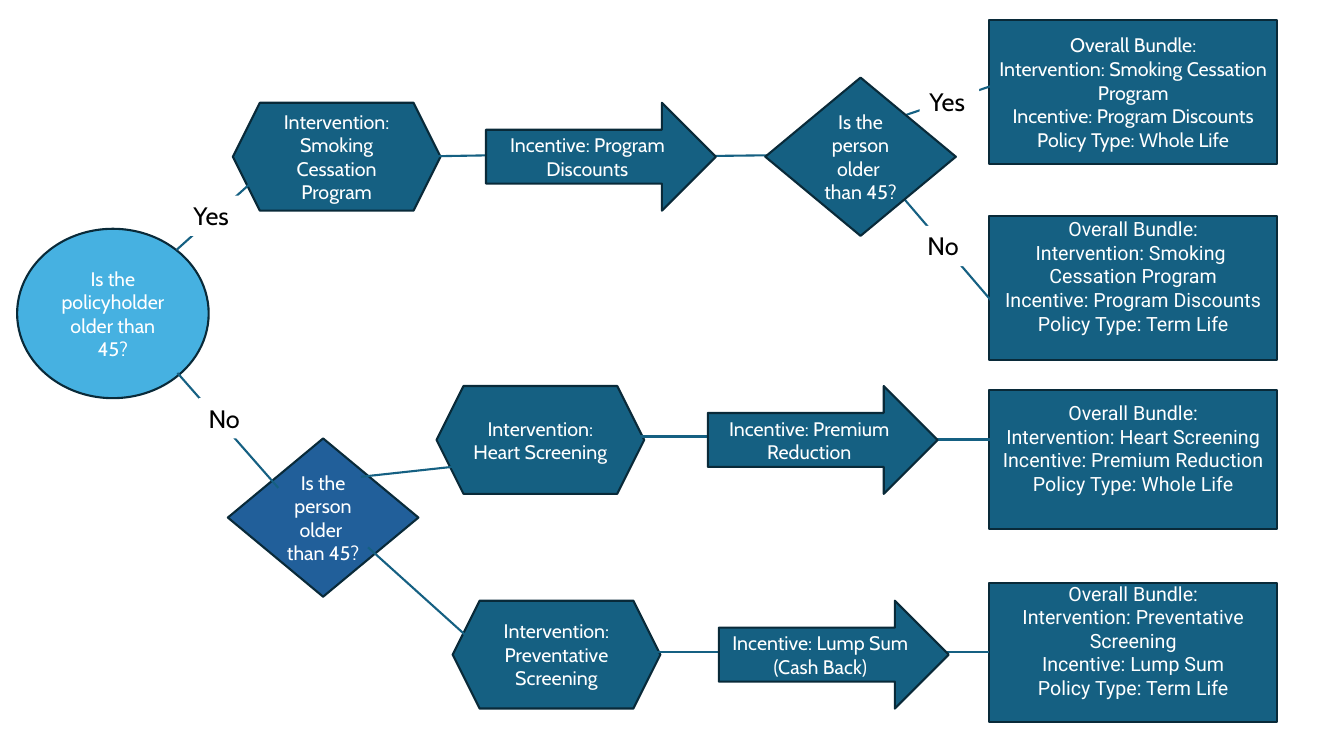
from lxml import etree
from pptx import Presentation
from pptx.dml.color import RGBColor
from pptx.enum.shapes import MSO_CONNECTOR, MSO_SHAPE
from pptx.enum.text import MSO_ANCHOR, PP_ALIGN
from pptx.oxml.ns import qn
from pptx.util import Inches, Pt

ELLIPSE = MSO_SHAPE.OVAL
HEXAGON = MSO_SHAPE.HEXAGON
DIAMOND = MSO_SHAPE.DIAMOND
ARROW = MSO_SHAPE.RIGHT_ARROW
RECTANGLE = MSO_SHAPE.RECTANGLE
STRAIGHT = MSO_CONNECTOR.STRAIGHT
CENTER, LEFT = PP_ALIGN.CENTER, PP_ALIGN.LEFT
MIDDLE, TOP = MSO_ANCHOR.MIDDLE, MSO_ANCHOR.TOP

LEFT_SIDE = 1
COLUMNS, ROWS = 133.3, 75
TEAL, BLUE, SKY = "156082", "215F9A", "46B1E1"
OUTLINE, WHITE, BLACK = "092A39", "FFFFFF", "000000"
AGE_QUESTION = "Is the person older  than 45?"


def color(value):
    return RGBColor.from_string(value)


class DecisionTree:
    font = "Cabin"
    text_size = 14
    label_size = 18
    line_width = Pt(1.5)

    def __init__(self, presentation):
        self.slide = presentation.slides.add_slide(presentation.slide_layouts[6])
        self.column = presentation.slide_width / COLUMNS
        self.row = presentation.slide_height / ROWS

    def place(self, column, row):
        return round(column * self.column), round(row * self.row)

    def shape(self, kind, column, row, width, height, fill):
        shape = self.slide.shapes.add_shape(
            kind, *self.place(column, row), *self.place(width, height))
        shape.shadow.inherit = False
        shape.fill.solid()
        shape.fill.fore_color.rgb = color(fill)
        return shape

    def add_text(self, shape, lines, size, ink, alignment, anchor, font):
        frame = shape.text_frame
        frame.word_wrap = True
        frame.vertical_anchor = anchor
        for index, line in enumerate(lines):
            paragraph = frame.add_paragraph() if index else frame.paragraphs[0]
            paragraph.alignment = alignment
            run = paragraph.add_run()
            run.text = line
            run.font.name = font
            run.font.size = Pt(size)
            run.font.color.rgb = color(ink)

    def node(self, kind, column, row, width, height, lines, fill=TEAL, font=font):
        shape = self.shape(kind, column, row, width, height, fill)
        shape.line.color.rgb = color(OUTLINE)
        shape.line.width = self.line_width
        self.add_text(shape, lines, self.text_size, WHITE, CENTER, MIDDLE, font)
        return shape

    def hexagon(self, column, row, text):
        return self.node(HEXAGON, column, row, 20.6, 10.7, [f"Intervention: {text}"])

    def arrow(self, column, row, text):
        return self.node(ARROW, column, row, 22.8, 10.7, [f"Incentive: {text}"])

    def diamond(self, column, row, fill):
        return self.node(DIAMOND, column, row, 18.9, 15.7, [AGE_QUESTION], fill)

    def bundle(self, row, height, font, bottom_inset, intervention, incentive, policy):
        lines = ["Overall Bundle:", f"Intervention: {intervention}",
                 f"Incentive: {incentive}", f"Policy Type: {policy}"]
        shape = self.node(RECTANGLE, 98.1, row, 28.6, height, lines, font=font)
        shape.text_frame.margin_bottom = Inches(bottom_inset)
        return shape

    def label(self, column, row, text):
        shape = self.shape(RECTANGLE, column, row, 5.9, 4, WHITE)
        shape.line.fill.background()
        self.add_text(shape, [text], self.label_size, BLACK, LEFT, TOP, self.font)

    def link(self, start, end, target=None):
        connector = self.slide.shapes.add_connector(
            STRAIGHT, *self.place(*start), *self.place(*end))
        connector.line.color.rgb = color(TEAL)
        connector.line.width = self.line_width
        properties = connector._element.find(qn("p:spPr"))
        etree.SubElement(properties, qn("a:effectLst"))
        if target is not None:
            connector.end_connect(target, LEFT_SIDE)


def main():
    presentation = Presentation()
    presentation.slide_width = Inches(13.33)
    presentation.slide_height = Inches(7.5)
    tree = DecisionTree(presentation)

    tree.node(ELLIPSE, 1.7, 22.7, 19, 16.8,
              ["Is the policyholder older than 45?"], SKY)
    tree.diamond(22.6, 43.5, BLUE)
    for column, row, text in [
        (23.1, 10.2, "Smoking Cessation Program"),
        (43.3, 38.3, "Heart Screening"),
        (44.9, 59.6, "Preventative Screening"),
    ]:
        tree.hexagon(column, row, text)

    bundles = [tree.bundle(*values) for values in [
        (2, 14.3, "Cabin", 0.05,
         "Smoking Cessation Program", "Program Discounts", "Whole Life"),
        (21.4, 14.3, "Roboto", 0.28,
         "Smoking  Cessation Program", "Program Discounts", "Term Life"),
        (38.7, 13.8, "Roboto", 0.28,
         "Heart Screening", "Premium Reduction", "Whole Life"),
        (57.8, 13.8, "Roboto", 0.28,
         "Preventative Screening", "Lump Sum", "Term Life"),
    ]]

    for start, end in [
        ((17.5, 24.8), (30.5, 13.1)),
        ((17.6, 37), (27.6, 48.4)),
        ((43.1, 15.5), (49.2, 15.4)),
        ((68.3, 15.5), (76.8, 15.4)),
        ((89, 11.7), (98.7, 8.4)),
        ((89.3, 19.3), (98.8, 30.4)),
        ((45, 46.3), (35.8, 47.3)),
        ((36.5, 54.3), (47.6, 64.3)),
        ((63.4, 43.3), (71.5, 43.3)),
        ((90.9, 43.6), (99, 43.6)),
        ((64.9, 64.7), (72.4, 64.7)),
    ]:
        tree.link(start, end)
    tree.link((92.5, 64.7), (98.1, 64.7), bundles[-1])

    tree.diamond(75.9, 7.7, TEAL)
    for column, row, text in [
        (48.2, 10.2, "Program Discounts"),
        (70.2, 38.3, "Premium Reduction"),
        (71.3, 59.6, "Lump Sum (Cash Back)"),
    ]:
        tree.arrow(column, row, text)

    for column, row, text in [
        (18.2, 19.4, "Yes"),
        (19.7, 39.5, "No"),
        (91.2, 8.1, "Yes"),
        (91, 22.4, "No"),
    ]:
        tree.label(column, row, text)

    presentation.save("out.pptx")


if __name__ == "__main__":
    main()
